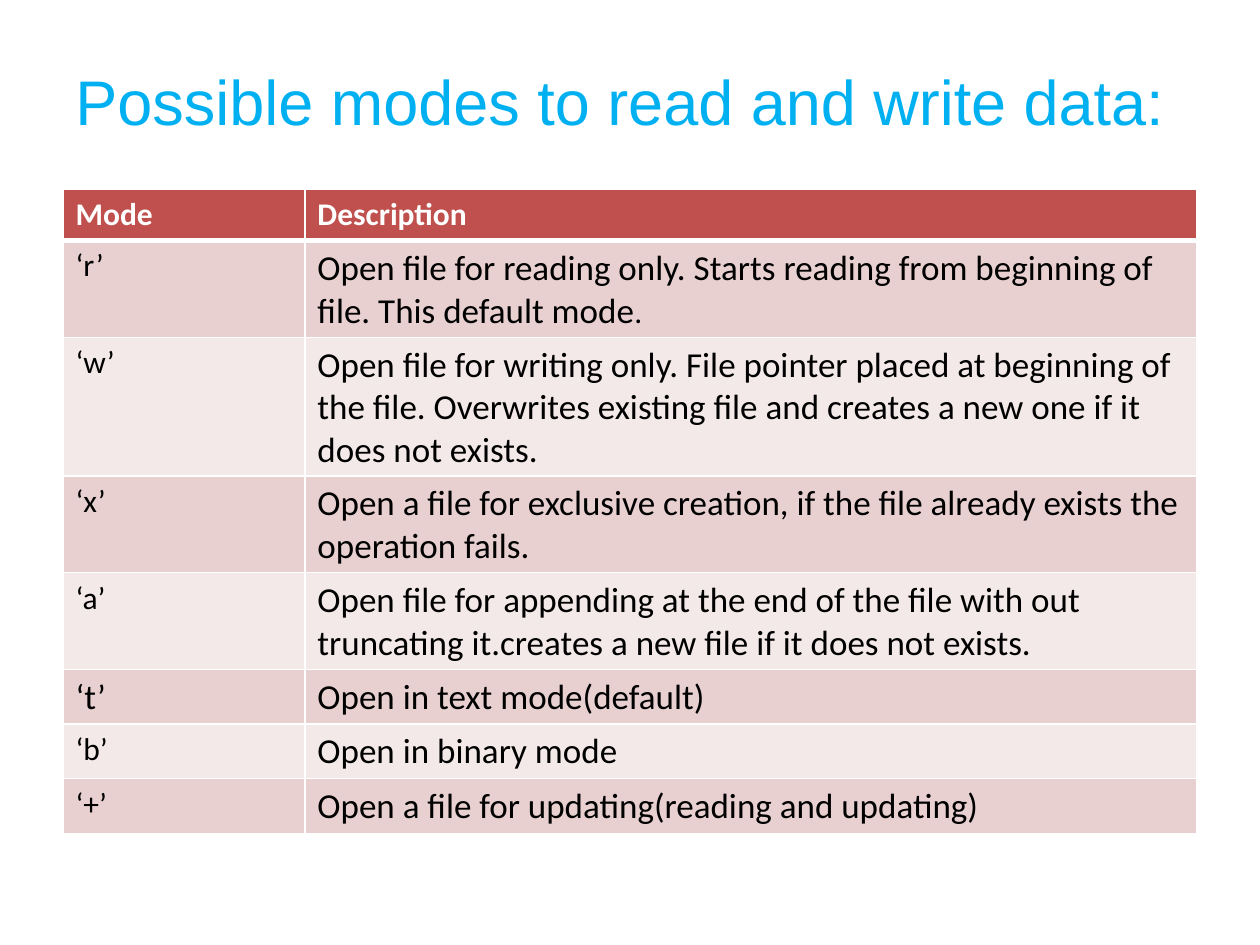
import dataclasses

import pptx
import pptx.dml.color
import pptx.enum.text
import pptx.oxml
import pptx.oxml.ns
import pptx.util
from pptx.util import Inches


@dataclasses.dataclass(frozen=True)
class Theme:
    title_color: str = "00B0F0"
    header_fill: str = "C0504D"
    band_fills: tuple = ("E8D0D0", "F4E9E9")
    light: str = "FFFFFF"
    dark: str = "000000"
    title_font: str = "Arial"
    body_font: str = "Calibri"
    title_size: int = 36
    label_size: int = 18
    body_size: int = 20
    thin_line: int = 1
    header_line: int = 3


THEME = Theme()
TITLE = "Possible modes to read and write data:"
HEADERS = ("Mode", "Description")
MODES = (
    ("r", "Open file for reading only. Starts reading from beginning of file. This default mode"),
    ("w", "Open file for writing only. File pointer placed at beginning of the file. "
          "Overwrites existing file and creates a new one if it does not exists."),
    ("x", "Open a file for exclusive creation, if the file already exists the operation fails."),
    ("a", "Open file for appending at the end of the file with out truncating it."
          "creates a new file if it does not exists."),
    ("t", "Open in text mode(default)"),
    ("b", "Open in binary mode"),
    ("+", "Open a file for updating(reading and updating)"),
)


def rgb(value):
    return pptx.dml.color.RGBColor.from_string(value)


def add_text(para, text, size=THEME.label_size, font=THEME.body_font, color=THEME.dark, bold=False):
    span = para.add_run()
    span.text = text
    span.font.size = pptx.util.Pt(size)
    span.font.name = font
    span.font.color.rgb = rgb(color)
    span.font.bold = bold


def style_cell(cell, fill, top=THEME.thin_line, bottom=THEME.thin_line):
    cell.fill.solid()
    cell.fill.fore_color.rgb = rgb(fill)
    properties = cell._tc.get_or_add_tcPr()
    widths = {"lnL": THEME.thin_line, "lnR": THEME.thin_line, "lnT": top, "lnB": bottom}
    for position, (side, width) in enumerate(widths.items()):
        border = pptx.oxml.parse_xml(
            f'<a:{side} {pptx.oxml.ns.nsdecls("a")} w="{pptx.util.Pt(width)}">'
            f'<a:solidFill><a:srgbClr val="{THEME.light}"/></a:solidFill></a:{side}>'
        )
        properties.insert(position, border)


def add_title(page, left, top, width, height):
    box = page.shapes.add_textbox(left, top, width, height)
    frame = box.text_frame
    frame.word_wrap = True
    frame.vertical_anchor = pptx.enum.text.MSO_ANCHOR.MIDDLE
    para = frame.paragraphs[0]
    para.alignment = pptx.enum.text.PP_ALIGN.CENTER
    add_text(para, TITLE, size=THEME.title_size, font=THEME.title_font, color=THEME.title_color)


def add_modes_table(page, left, top, width, row_height):
    count = len(MODES) + 1
    table = page.shapes.add_table(count, 2, left, top, width, row_height * count).table
    mode_width = Inches(1.92)
    table.columns[0].width = mode_width
    table.columns[1].width = width - mode_width

    for column, header in enumerate(HEADERS):
        cell = table.cell(0, column)
        style_cell(cell, THEME.header_fill, bottom=THEME.header_line)
        add_text(cell.text_frame.paragraphs[0], header, color=THEME.light, bold=True)

    for row, (mode, description) in enumerate(MODES, start=1):
        fill = THEME.band_fills[(row - 1) % 2]
        line_above = THEME.header_line if row == 1 else THEME.thin_line
        mode_cell, description_cell = table.cell(row, 0), table.cell(row, 1)
        for cell in (mode_cell, description_cell):
            style_cell(cell, fill, top=line_above)
        mode_size = THEME.body_size if mode == "t" else THEME.label_size
        add_text(mode_cell.text_frame.paragraphs[0], f"‘{mode}’", size=mode_size)
        para = description_cell.text_frame.paragraphs[0]
        add_text(para, description, size=THEME.body_size)
        if mode == "r":
            add_text(para, ".")


def main():
    deck = pptx.Presentation()
    deck.slide_width, deck.slide_height = Inches(10), Inches(7.5)
    page = deck.slides.add_slide(deck.slide_layouts[6])
    add_title(page, Inches(0.42), Inches(0.42), Inches(9), Inches(0.75))
    add_modes_table(page, Inches(0.5), Inches(1.5), Inches(9), Inches(0.41))
    deck.save("out.pptx")


if __name__ == "__main__":
    main()
